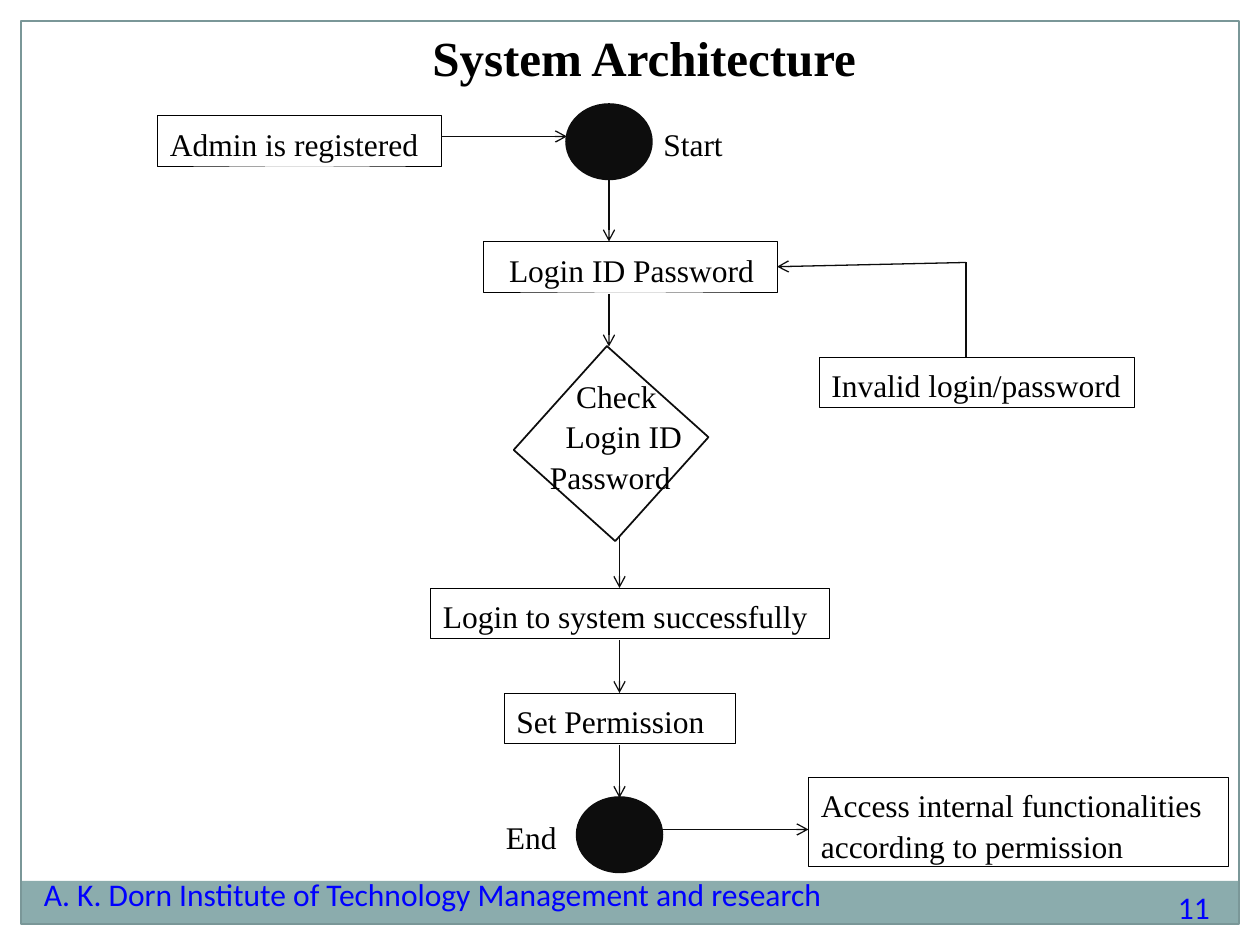
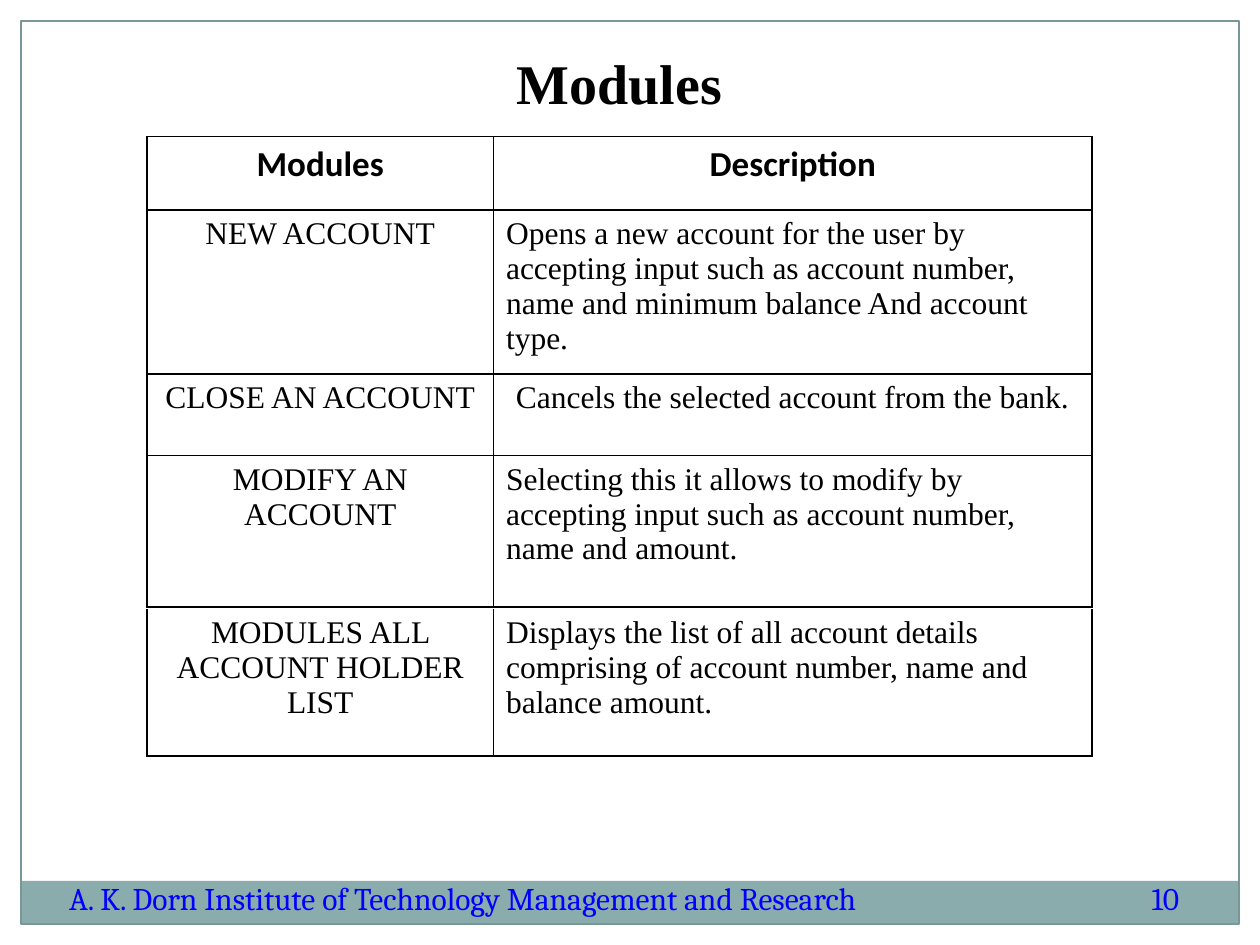
from dataclasses import dataclass

from lxml import etree
from pptx import Presentation
from pptx.dml.color import RGBColor
from pptx.enum.shapes import MSO_CONNECTOR, MSO_SHAPE
from pptx.enum.text import MSO_ANCHOR, PP_ALIGN
from pptx.oxml.ns import qn
from pptx.util import Inches, Pt

RECT, OVAL = MSO_SHAPE.RECTANGLE, MSO_SHAPE.OVAL
STRAIGHT = MSO_CONNECTOR.STRAIGHT
LEFT, CENTER = PP_ALIGN.LEFT, PP_ALIGN.CENTER
TOP, MIDDLE = MSO_ANCHOR.TOP, MSO_ANCHOR.MIDDLE


@dataclass(frozen=True)
class Theme:
    black: str = "000000"
    ink: str = "0D0D0D"
    band: str = "8BACAD"
    frame: str = "7A9798"
    footer: str = "0000FF"
    serif: str = "Times New Roman"
    sans: str = "Calibri"
    footer_serif: str = "Cambria"
    body: int = 18
    header: int = 20
    leading: float = 1.08


T = Theme()
ROW = 4.8  # height of a one-line box in grid units


def g(n):
    """Length of n grid units, twelve to the inch."""
    return Inches(n / 12)


def grid(*units):
    return [g(n) for n in units]


def rgb(color):
    return RGBColor.from_string(color)


def write(p, text, size=T.body, font=T.serif, color=T.black, bold=False,
          align=LEFT, indent=0, leading=None):
    p.alignment = align
    p.line_spacing = leading
    if indent:
        p._p.get_or_add_pPr().set("marL", str(g(indent)))
    r = p.add_run()
    r.text = text
    r.font.size, r.font.name, r.font.bold = Pt(size), font, bold
    r.font.color.rgb = rgb(color)


def add_shape(slide, kind, at, fill=None, line=None, width=1.0):
    sp = slide.shapes.add_shape(kind, *grid(*at))
    sp.shadow.inherit = False
    if fill:
        sp.fill.solid()
        sp.fill.fore_color.rgb = rgb(fill)
    else:
        sp.fill.background()
    if line:
        sp.line.color.rgb = rgb(line)
        sp.line.width = Pt(width)
    else:
        sp.line.fill.background()
    return sp


def add_text(slide, at, text, anchor=TOP, **style):
    sp = slide.shapes.add_textbox(*grid(*at))
    tf = sp.text_frame
    tf.word_wrap, tf.vertical_anchor = True, anchor
    write(tf.paragraphs[0], text, **style)
    return tf


def add_step(slide, x, y, width, text, height=ROW, indent=0):
    sp = add_shape(slide, RECT, (x, y, width, height), line=T.black, width=0.25)
    tf = sp.text_frame
    tf.word_wrap, tf.vertical_anchor = True, TOP
    write(tf.paragraphs[0], text, indent=indent, leading=T.leading)


def add_terminal(slide, x, y):
    """Filled start or end node."""
    add_shape(slide, OVAL, (x, y, 8, 7), fill=T.ink, line=T.ink, width=2)


def add_link(slide, x1, y1, x2, y2, arrow=True):
    c = slide.shapes.add_connector(STRAIGHT, *grid(x1, y1, x2, y2))
    c.line.color.rgb = rgb(T.ink)
    c.line.width = Pt(0.75)
    sp_pr = c._element.spPr
    if arrow:
        etree.SubElement(sp_pr.find(qn("a:ln")), qn("a:tailEnd"), type="arrow")
    etree.SubElement(sp_pr, qn("a:effectLst"))


def set_border(cell, sides):
    """Black lines on the named sides (L, R, T, B), none on the others."""
    tc_pr = cell._tc.get_or_add_tcPr()
    for i, side in enumerate("LRTB"):
        ln = etree.Element(qn(f"a:ln{side}"), w=str(Pt(1)))
        if side in sides:
            fill = etree.SubElement(ln, qn("a:solidFill"))
            etree.SubElement(fill, qn("a:srgbClr"), val=T.black)
        else:
            etree.SubElement(ln, qn("a:noFill"))
        tc_pr.insert(i, ln)


def add_module_table(slide, y, heights, rows, sides="LRTB", header=False):
    """Two-column table: module name centred, description beside it."""
    columns = (33, 57)
    frame = slide.shapes.add_table(
        len(rows), 2, *grid(14, y, sum(columns), sum(heights)))
    table = frame.table
    table.first_row = table.horz_banding = False
    for column, width in zip(table.columns, columns):
        column.width = g(width)
    for i, (height, texts) in enumerate(zip(heights, rows)):
        table.rows[i].height = g(height)
        is_header = header and i == 0
        style = dict(size=T.header, font=T.sans, bold=True) if is_header else {}
        for j, text in enumerate(texts):
            cell = table.cell(i, j)
            cell.fill.background()
            set_border(cell, sides)
            # one-line descriptions are centred like the names
            centred = j == 0 or len(text) < 50
            write(cell.text_frame.paragraphs[0], text,
                  align=CENTER if centred else LEFT, **style)


def new_slide(prs):
    """Blank slide with the footer band and the outer frame."""
    slide = prs.slides.add_slide(prs.slide_layouts[6])
    add_shape(slide, RECT, (2, 83.9, 116, 4.1), fill=T.band)
    add_shape(slide, RECT, (2, 2, 116, 86), line=T.frame, width=0.75)
    return slide


def add_title(slide, at, text, size, **style):
    add_text(slide, at, text, size=size, bold=True, **style)


def add_footer(slide, text, text_at, number, number_at, font, anchor=TOP,
               leading=None):
    style = dict(font=font, color=T.footer, anchor=anchor)
    add_text(slide, text_at, text, leading=leading, **style)
    add_text(slide, number_at, number, **style)


def build_architecture(prs):
    slide = new_slide(prs)
    add_title(slide, (40, 2, 50, 6.8), "System Architecture", 28)

    add_step(slide, 15, 11, 27, "Admin is registered")
    add_step(slide, 46, 23, 28, "Login ID Password", indent=1.3)
    add_step(slide, 78, 34, 30, "Invalid login/password")
    add_step(slide, 41, 56, 38, "Login to system successfully")
    add_step(slide, 48, 66, 22, "Set Permission")
    add_step(slide, 77, 74, 40,
             "Access internal functionalities according to permission", height=8.5)

    add_terminal(slide, 54, 10)
    add_text(slide, (62, 11, 17, 5), "Start", leading=T.leading)
    add_terminal(slide, 55, 76)
    add_text(slide, (47, 77, 8, ROW), "End", leading=T.leading)

    decision = add_shape(slide, RECT, (51.7, 35.6, 13, 13.3), line=T.ink)
    decision.rotation = 41.9
    tf = add_text(slide, (49, 35, 18, 12), "Check", indent=4.7,
                  leading=T.leading)
    for text, indent in (("Login ID", 3.7), ("Password", 2.2)):
        write(tf.add_paragraph(), text, indent=indent, leading=T.leading)

    for x, y1, y2 in ((58, 17, 23), (58, 28, 33), (59, 51, 56),
                      (59, 61, 66), (59, 71, 76)):
        add_link(slide, x, y1, x, y2)
    add_link(slide, 42, 13, 54, 13)
    add_link(slide, 63, 79, 77, 79)
    add_link(slide, 92, 25, 74, 25.4)
    add_link(slide, 92, 25, 92, 34, arrow=False)

    add_footer(slide, "A. K. Dorn Institute of Technology Management and research",
               (3, 84, 84, 3.6), "11", (111, 84, 6, ROW), T.sans,
               leading=Pt(14.2))


def build_modules(prs):
    slide = new_slide(prs)
    add_title(slide, (6, 3.6, 106, 8.4), "Modules", 32, align=CENTER,
              anchor=MIDDLE)
    add_module_table(slide, 13, (7, 14.5, 7.8, 14.4), (
        ("Modules", "Description"),
        ("NEW ACCOUNT",
         "Opens a new account for the user by accepting input such as account "
         "number, name and minimum balance And account type."),
        ("CLOSE AN ACCOUNT", "Cancels the selected account from the bank."),
        ("MODIFY AN ACCOUNT",
         "Selecting this it allows to modify by accepting input such as "
         "account number, name and amount."),
    ), header=True)
    add_module_table(slide, 58, (14,), (
        ("MODULES ALL ACCOUNT HOLDER LIST",
         "Displays the list of all account details comprising of account "
         "number, name and balance amount."),
    ), sides="LRB")
    add_footer(slide, "A. K. Dorn Institute of Technology Management and Research",
               (5.4, 81, 87.7, 9), "10", (108.5, 81, 7.7, 9), T.footer_serif,
               anchor=MIDDLE)


def main():
    prs = Presentation()
    prs.slide_width, prs.slide_height = Inches(10), Inches(7.5)
    build_architecture(prs)
    build_modules(prs)
    prs.save("out.pptx")


if __name__ == "__main__":
    main()
